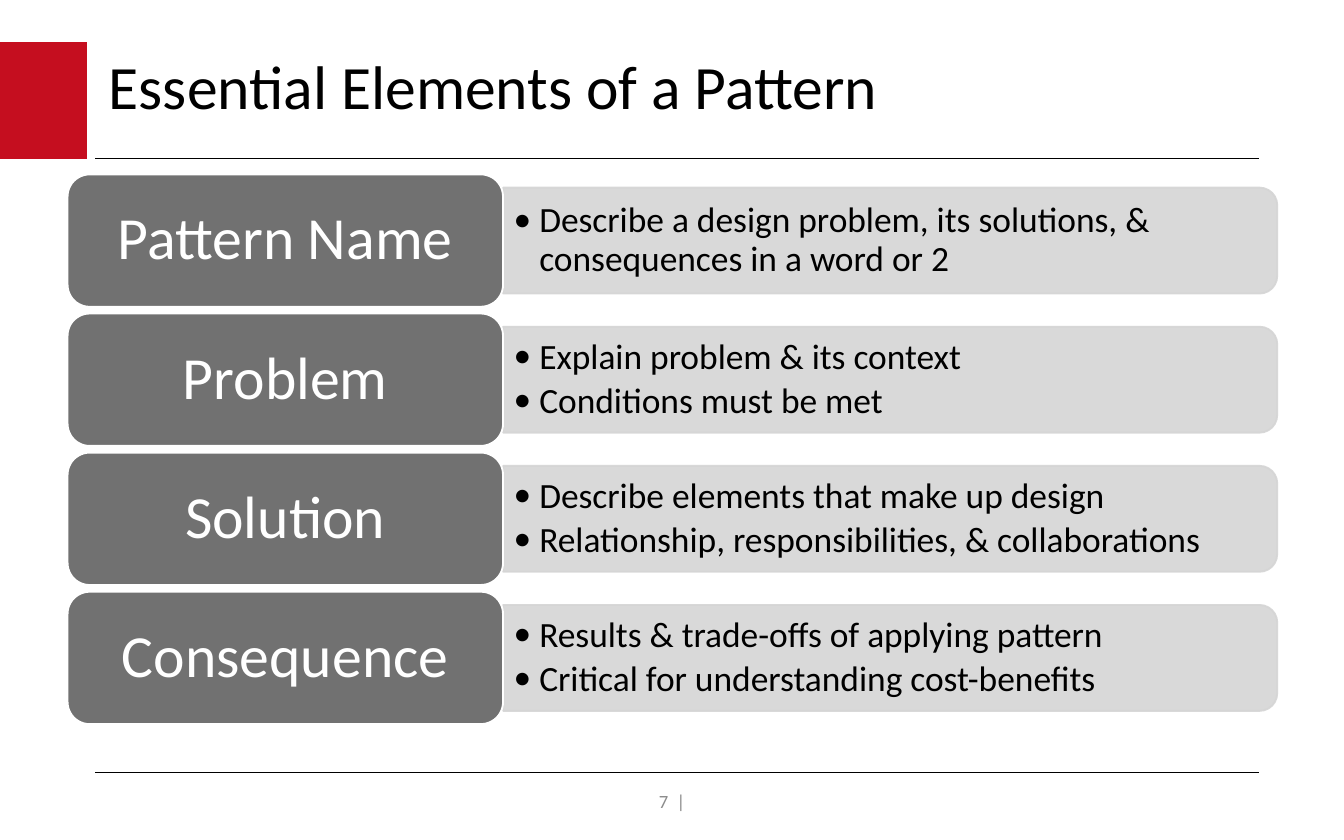
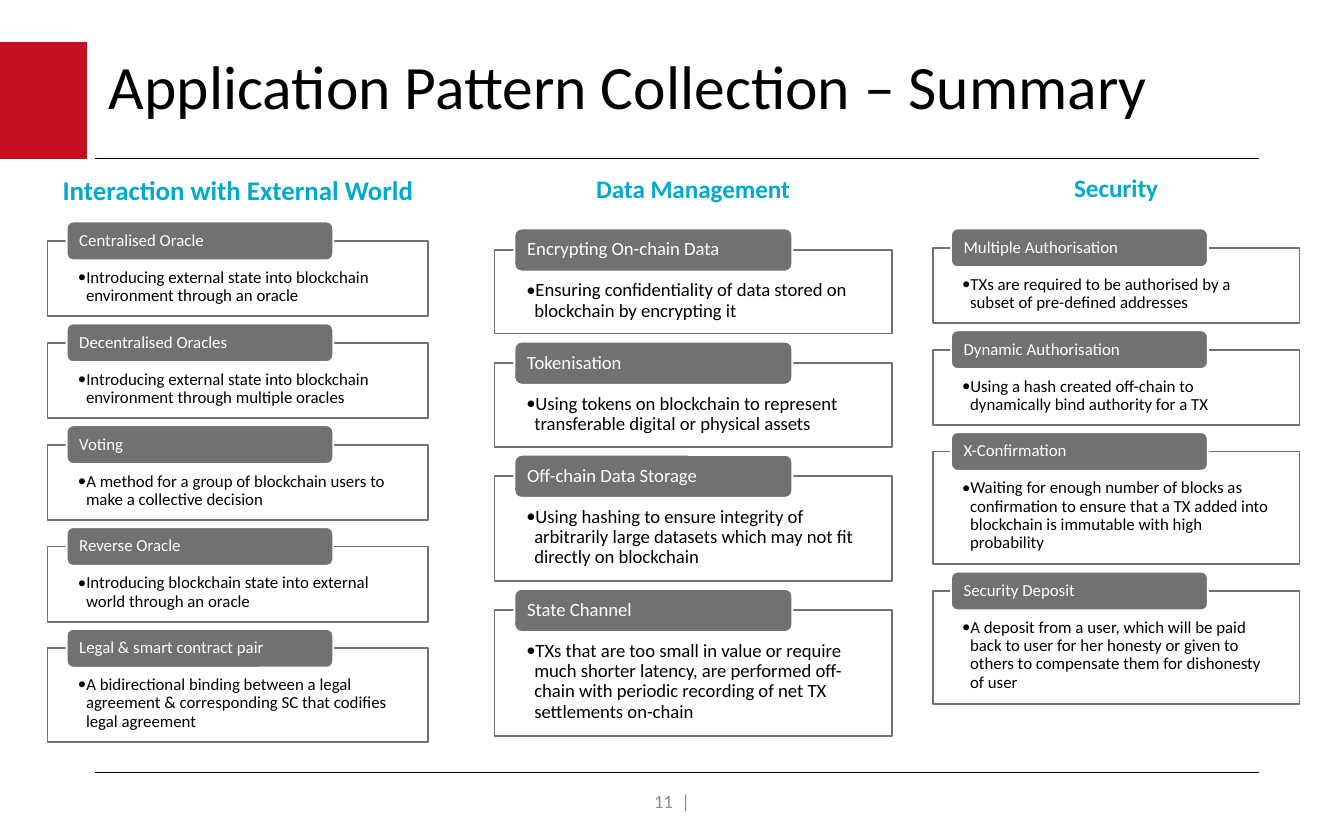
import dataclasses

import pptx
import pptx.dml.color
import pptx.enum.shapes
import pptx.enum.text
import pptx.oxml.ns
import pptx.util
from lxml import etree

SHAPE = pptx.enum.shapes.MSO_SHAPE
ALIGN = pptx.enum.text.PP_ALIGN
ANCHOR = pptx.enum.text.MSO_ANCHOR


@dataclasses.dataclass(frozen=True)
class Theme:
    font: str = "Calibri"
    red: str = "C50E1F"
    black: str = "000000"
    white: str = "FFFFFF"
    dark: str = "717171"
    light: str = "D5D5D5"
    muted: str = "8C8C8C"
    blue: str = "00A9CE"
    title: float = 33
    label: float = 32
    body: float = 19
    foot: float = 10
    rule: float = 0.75
    edge: float = 1
    lead: float = 0.9
    after: float = 0.15


@dataclasses.dataclass(frozen=True)
class Box:
    """An area in cells of a square grid, 100 columns across the slide."""
    left: float
    top: float
    wide: float
    high: float

    def emu(self):
        return [cells(n) for n in (self.left, self.top, self.wide, self.high)]


THEME = Theme()
WIDE, HIGH = pptx.util.Inches(10), pptx.util.Inches(6.25)
HEAD = Box(7.1, 3.1, 86.6, 7.1)
FLAG = Box(0, 3.14, 6.48, 8.68)
FOOT = Box(33.1, 57.95, 33.8, 3.3)
RULES = (11.8, 57.5)

ELEMENTS = [
    ("Pattern Name", ["Describe a design problem, its solutions, & consequences in a word or 2"]),
    ("Problem", ["Explain problem & its context", "Conditions must be met"]),
    ("Solution", ["Describe elements that make up design",
                  "Relationship, responsibilities, & collaborations"]),
    ("Consequence", ["Results & trade-offs of applying pattern",
                     "Critical for understanding cost-benefits"]),
]

# Each card: name, text, lines the text takes
EXTERNAL = [
    ("Centralised Oracle",
     "Introducing external state into blockchain environment through an oracle", 2),
    ("Decentralised Oracles",
     "Introducing external state into blockchain environment through multiple oracles", 2),
    ("Voting", "A method for a group of blockchain users to make a collective decision", 2),
    ("Reverse Oracle",
     "Introducing blockchain state into external world through an oracle", 2),
    ("Legal & smart contract pair",
     "A bidirectional binding between a legal agreement & corresponding SC "
     "that codifies legal agreement", 3),
]
DATA = [
    ("Encrypting On-chain Data",
     "Ensuring confidentiality of data stored on blockchain by encrypting it", 2),
    ("Tokenisation",
     "Using tokens on blockchain to represent transferable digital or physical assets", 2),
    ("Off-chain Data Storage",
     "Using hashing to ensure integrity of arbitrarily large datasets "
     "which may not fit directly on blockchain", 3),
    ("State Channel",
     "TXs that are too small in value or require much shorter latency, are performed "
     "off-chain with periodic recording of net TX settlements on-chain", 4),
]
SECURITY = [
    ("Multiple Authorisation",
     "TXs are required to be authorised by a subset of pre-defined addresses", 2),
    ("Dynamic Authorisation",
     "Using a hash created off-chain to dynamically bind authority for a TX", 2),
    ("X-Confirmation",
     "Waiting for enough number of blocks as confirmation to ensure that a TX added "
     "into blockchain is immutable with high probability", 4),
    ("Security Deposit",
     "A deposit from a user, which will be paid back to user for her honesty or given "
     "to others to compensate them for dishonesty of user", 4),
]

# Each column: heading, heading size, heading box, top of first card, card size, cards
COLUMNS = [
    ("Interaction with External World", 14.4, Box(3.54, 12.4, 28.34, 3.4), 17.93, 9, EXTERNAL),
    ("Data Management", 13.5, Box(36.8, 12.4, 29.55, 3.3), 18.6, 10, DATA),
    ("Security", 13.5, Box(69.4, 12.3, 27.3, 3.3), 18.44, 9, SECURITY),
]


def cells(count):
    return round(count * WIDE / 100)


def color(code):
    return pptx.dml.color.RGBColor.from_string(code)


def child(node, tag, **attrs):
    return etree.SubElement(node, pptx.oxml.ns.qn(tag), **attrs)


def fade(shape, share):
    """Make the solid fill of a shape partly clear."""
    tint = shape.fill._xPr.find(".//" + pptx.oxml.ns.qn("a:srgbClr"))
    child(tint, "a:alpha", val=str(share * 1000))


def write(shape, lines, size, tint=THEME.black, align=ALIGN.LEFT, anchor=ANCHOR.MIDDLE,
          pad=(1, 0.5, 1, 0.5), lead=THEME.lead, bullet=0, bold=False):
    """Fill a shape with paragraphs; bullet is the hanging indent in cells."""
    frame = shape.text_frame
    frame.word_wrap = True
    frame.auto_size = pptx.enum.text.MSO_AUTO_SIZE.NONE
    frame.vertical_anchor = anchor
    (frame.margin_left, frame.margin_top,
     frame.margin_right, frame.margin_bottom) = [cells(n) for n in pad]
    frame.text = "\n".join(lines)
    for para in frame.paragraphs:
        para.alignment = align
        para.line_spacing = lead
        font = para.runs[0].font
        font.name, font.size, font.bold = THEME.font, pptx.util.Pt(size), bold
        font.color.rgb = color(tint)
        if bullet:
            para.space_after = pptx.util.Pt(size * THEME.after)
            props = para._p.get_or_add_pPr()
            props.set("marL", str(cells(bullet)))
            props.set("indent", str(-cells(bullet)))
            child(props, "a:buFont", typeface=THEME.font)
            child(props, "a:buChar", char="•")


def draw(slide, kind, box, fill, line=None):
    shape = slide.shapes.add_shape(kind, *box.emu())
    shape.shadow.inherit = False
    shape.fill.solid()
    shape.fill.fore_color.rgb = color(fill)
    if line:
        shape.line.color.rgb = color(line)
        shape.line.width = pptx.util.Pt(THEME.edge)
    else:
        shape.line.fill.background()
    return shape


def note(slide, box, lines, size, **form):
    write(slide.shapes.add_textbox(*box.emu()), lines, size, **form)


def rule(slide, top):
    left, right = HEAD.left, HEAD.left + HEAD.wide
    line = slide.shapes.add_connector(
        pptx.enum.shapes.MSO_CONNECTOR.STRAIGHT,
        cells(left), cells(top), cells(right), cells(top))
    line.line.color.rgb = color(THEME.black)
    line.line.width = pptx.util.Pt(THEME.rule)
    child(line._element.spPr, "a:effectLst")


def start(deck, title, number):
    """Add a slide with the shared flag, rules, title and footer."""
    slide = deck.slides.add_slide(deck.slide_layouts.get_by_name("Title Only"))
    draw(slide, SHAPE.RECTANGLE, FLAG, THEME.red)
    for top in RULES:
        rule(slide, top)
    head = slide.shapes.title
    head.left, head.top, head.width, head.height = HEAD.emu()
    write(head, [title], THEME.title)
    note(slide, FOOT, [f"{number}\u00a0 |"], THEME.foot,
         tint=THEME.muted, align=ALIGN.CENTER, lead=1)
    return slide


def bar(slide, box, lines):
    """Draw a bar rounded on its right side only, with bullets over it."""
    shift = (box.wide - box.high) / 2
    turned = Box(box.left + shift, box.top - shift, box.high, box.wide)
    shape = draw(slide, SHAPE.ROUND_2_SAME_RECTANGLE, turned, THEME.light, THEME.light)
    shape.rotation = 90
    fade(shape, 90)
    fade(shape.line, 90)
    note(slide, box, lines, THEME.body, pad=(0.8, 0.4, 0.8, 0.4), bullet=1.9)


def ladder(slide, box, items, gap=0.5):
    """Stack label and bar pairs evenly down the box."""
    high = (box.high - gap * (len(items) - 1)) / len(items)
    side = box.wide * 0.36
    for index, (name, lines) in enumerate(items):
        top = box.top + index * (high + gap)
        bar(slide, Box(box.left + side, top + high * 0.1, box.wide - side, high * 0.8), lines)
        label = draw(slide, SHAPE.ROUNDED_RECTANGLE, Box(box.left, top, side, high),
                     THEME.dark, THEME.white)
        write(label, [name], THEME.label, tint=THEME.white, align=ALIGN.CENTER)


def card(slide, box, name, text, size):
    """Draw a framed text with a name tab across its top edge."""
    frame = draw(slide, SHAPE.RECTANGLE, box, THEME.white, THEME.dark)
    fade(frame, 90)
    side = box.wide * 0.08
    write(frame, [text], size, anchor=ANCHOR.TOP, bullet=0.6,
          pad=(side, size * 0.23, side, size * 0.07))
    high = size * 0.32
    tab = draw(slide, SHAPE.ROUNDED_RECTANGLE,
               Box(box.left + box.wide * 0.05, box.top - high / 2, box.wide * 0.7, high),
               THEME.dark, THEME.white)
    write(tab, [name], size, tint=THEME.white, pad=(0.8, 0, 0.8, 0))


def column(slide, title, scale, box, top, size, items):
    """Stack cards under a heading, each as high as its lines of text need."""
    for name, text, lines in items:
        high = size * (lines + 2) / 6.43
        card(slide, Box(box.left, top, box.wide, high), name, text, size)
        top += high + size * 0.22
    note(slide, box, [title], scale, tint=THEME.blue, align=ALIGN.CENTER,
         anchor=ANCHOR.TOP, lead=1, bold=True)


def main():
    deck = pptx.Presentation()
    deck.slide_width, deck.slide_height = WIDE, HIGH
    ladder(start(deck, "Essential Elements of a Pattern", 7), Box(5.03, 12.98, 90, 40.9), ELEMENTS)
    summary = start(deck, "Application Pattern Collection – Summary", 11)
    for parts in COLUMNS:
        column(summary, *parts)
    deck.save("out.pptx")


if __name__ == "__main__":
    main()
